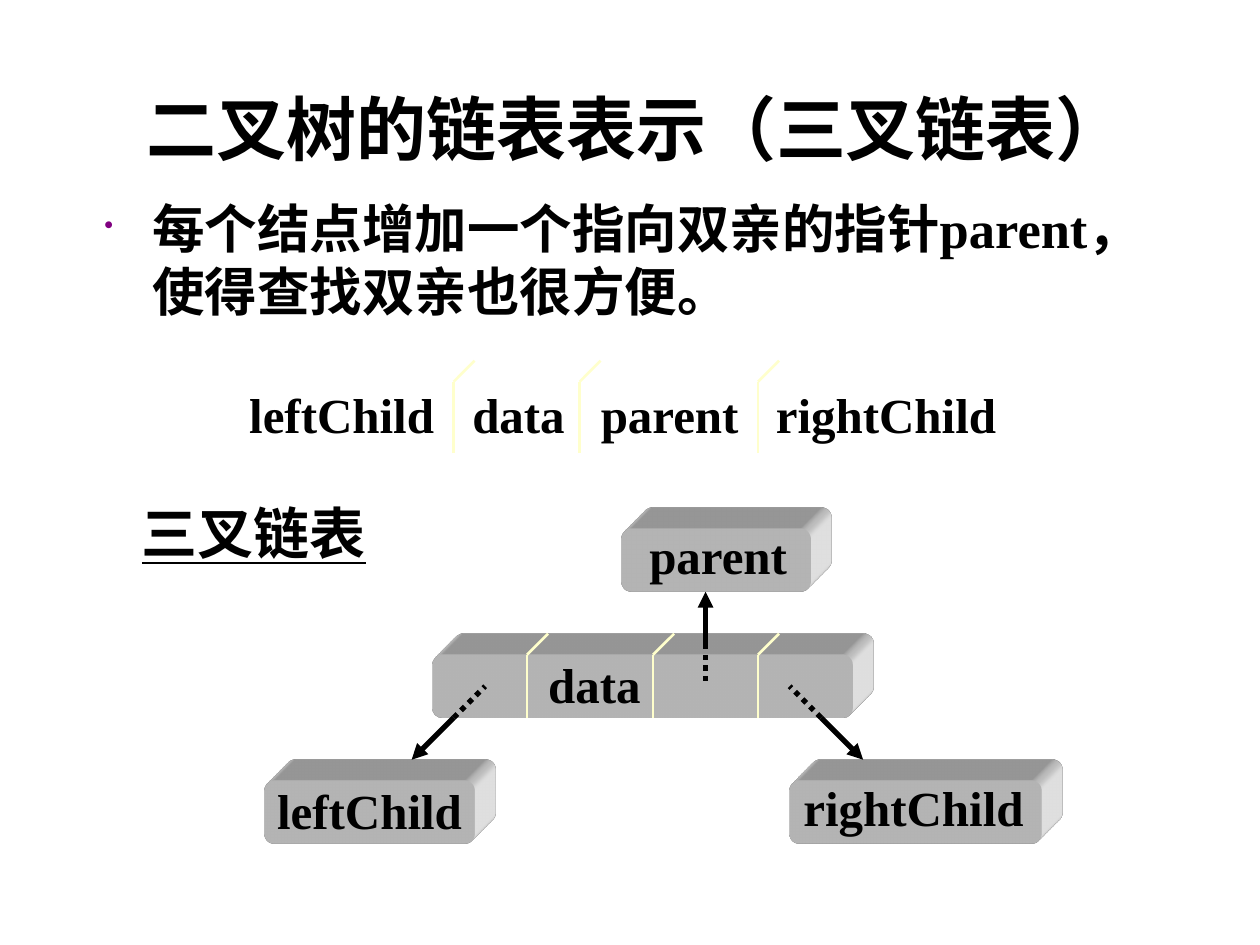
from lxml import etree
from pptx import Presentation, util as u
from pptx.dml.color import RGBColor
from pptx.enum import dml, shapes, text
from pptx.oxml import parse_xml
from pptx.oxml.ns import nsdecls, qn

deck = Presentation()
deck.slide_width, deck.slide_height = u.Inches(10), u.Inches(7.5)
page = deck.slides.add_slide(deck.slide_layouts[6])


def at(column, row):
    """Point on the diagram grid, six cells to the inch."""
    return u.Inches(0.1 + column / 6), u.Inches(0.03 + row / 6)


def write(words, left, top, width, height, size=28, font="Times New Roman",
          align=text.PP_ALIGN.CENTER, anchor=text.MSO_ANCHOR.MIDDLE,
          wrap=False, underline=None, extras=(), **paragraph_attributes):
    box = page.shapes.add_textbox(left, top, width, height)
    frame = box.text_frame
    frame.word_wrap, frame.vertical_anchor = wrap, anchor
    para = frame.paragraphs[0]
    para.alignment = align
    properties = para._p.get_or_add_pPr()
    for name, value in paragraph_attributes.items():
        properties.set(name, str(value))
    for extra in extras:
        properties.append(parse_xml(extra))
    span = para.add_run()
    span.text = words
    span.font.size, span.font.name = u.Pt(size), font
    span.font.bold, span.font.underline = True, underline
    span.font.color.rgb = RGBColor.from_string("000000")


# Title and bullet
write("二叉树的链表表示（三叉链表）", u.Inches(0.55), u.Inches(0.48),
      u.Inches(9), u.Inches(1.06), size=40, font="Arial", wrap=True)
a = nsdecls("a")
bullet = (f'<a:buClr {a}><a:srgbClr val="800080"/></a:buClr>',
          f'<a:buSzPct {a} val="50000"/>', f'<a:buChar {a} char="•"/>')
write("每个结点增加一个指向双亲的指针parent，使得查找双亲也很方便。",
      u.Inches(0.73), u.Inches(1.51), u.Inches(8.72), u.Inches(1.14), size=30,
      align=text.PP_ALIGN.LEFT, anchor=text.MSO_ANCHOR.TOP, wrap=True,
      extras=bullet, marL=u.Inches(0.38), indent=-u.Inches(0.38))
write("三叉链表", u.Inches(1.02), u.Inches(3.91), u.Inches(1.99), u.Inches(0.63),
      size=32, underline=True)

# Node boxes, extruded to the upper right: column, row, width in cells
scene = (f'<a:scene3d {a}><a:camera prst="legacyObliqueTopRight"/>'
         '<a:lightRig rig="legacyFlat3" dir="b"/></a:scene3d>')
depth = (f'<a:sp3d {a} extrusionH="430200" prstMaterial="legacyMatte">'
         '<a:extrusionClr><a:srgbClr val="FFFFFF"/></a:extrusionClr></a:sp3d>')
for column, row, width in [(29, 25, 9), (20, 31, 20), (37, 37, 12), (12, 37, 10)]:
    node = page.shapes.add_shape(shapes.MSO_SHAPE.ROUNDED_RECTANGLE,
                                 *at(column, row), u.Inches(width / 6), u.Inches(0.5))
    node.shadow.inherit = False
    node.fill.solid()
    node.fill.fore_color.rgb = RGBColor.from_string("FFFFFF")
    node.line.fill.background()
    for part in (scene, depth):
        node._element.spPr.append(parse_xml(part))

# Node labels: centre column, centre row, width in inches
for words, column, row, width in [("parent", 33.6, 26.25, 1.3), ("data", 27.7, 32.4, 0.94),
                                  ("leftChild", 17, 38.4, 1.67),
                                  ("rightChild", 42.9, 38.25, 1.95)]:
    x, y = at(column, row)
    write(words, x - u.Inches(width / 2), y - u.Inches(0.285), u.Inches(width), u.Inches(0.57))

# Field names, spread by tab stops
stops = "".join(f'<a:tab pos="{u.Inches(stop)}" algn="l"/>' for stop in (1.77, 2.79, 4.18))
write("leftChild\tdata\tparent\trightChild", u.Inches(1.88), u.Inches(3),
      u.Inches(6.14), u.Inches(0.57), align=text.PP_ALIGN.LEFT,
      extras=[f"<a:tabLst {a}>{stops}</a:tabLst>"])

# Field dividers: an upright and a slanted end on the top face
yellow, black = "FFFFCC", "000000"
lines = []
for columns, top, bottom in [((21, 27, 35.5), 18, 21.4), ((24.5, 30.5, 35.5), 31, 34)]:
    for column in columns:
        lines += [(column, bottom, column, top, yellow, "plain"),
                  (column, top, column + 1, top - 1, yellow, "plain")]

# Pointers: dotted inside the node, then an arrow to the neighbour
for inside, edge, target in [((33, 32.5), (33, 30.5), (33, 28)),
                             ((22.5, 32.5), (21, 34), (19, 36)),
                             ((37, 32.5), (38.5, 34), (40.5, 36))]:
    lines += [(*edge, *target, black, "arrow"), (*edge, *inside, black, "dots")]

for x1, y1, x2, y2, color, style in lines:
    line = page.shapes.add_connector(shapes.MSO_CONNECTOR.STRAIGHT, *at(x1, y1), *at(x2, y2))
    line.line.color.rgb = RGBColor.from_string(color)
    line.line.width = u.Pt(1.5 if color == yellow else 3)
    if style == "dots":
        line.line.dash_style = dml.MSO_LINE.ROUND_DOT
    elif style == "arrow":
        etree.SubElement(line.line._get_or_add_ln(), qn("a:tailEnd"), type="triangle")
    etree.SubElement(line._element.spPr, qn("a:effectLst"))

deck.save("out.pptx")
